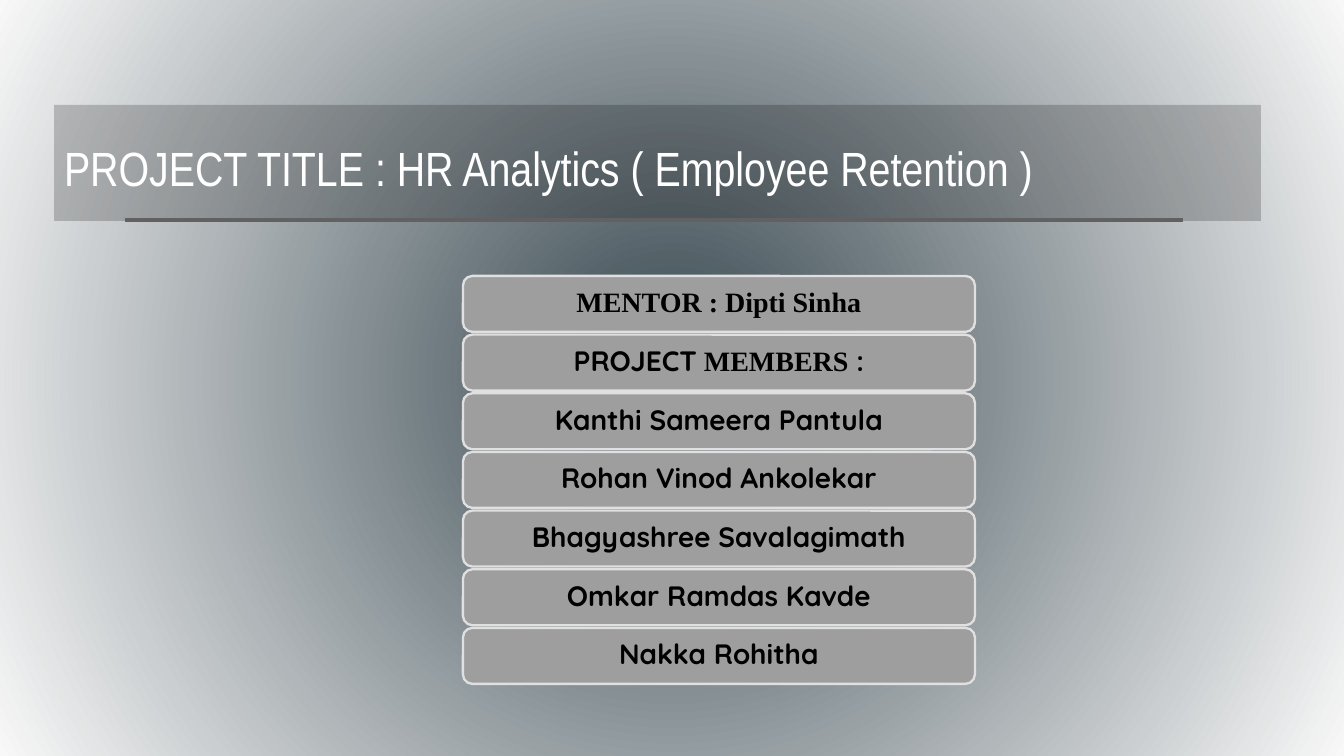
import pptx
import pptx.util
import pptx.dml.color
import pptx.enum.shapes
import pptx.enum.text
import pptx.oxml.ns
from lxml import etree

PX = 914400 / 134.4
qn = pptx.oxml.ns.qn
SHAPES = pptx.enum.shapes.MSO_SHAPE
ANCHOR = pptx.enum.text.MSO_ANCHOR
ALIGN = pptx.enum.text.PP_ALIGN


def px(*lengths):
    return [pptx.util.Emu(round(length * PX)) for length in lengths]


def color(hex_string):
    return pptx.dml.color.RGBColor.from_string(hex_string)


deck = pptx.Presentation()
deck.slide_width, deck.slide_height = px(1344, 756)
slide = deck.slides.add_slide(deck.slide_layouts[5])
shapes = slide.shapes

# Radial backdrop, placed behind the title
backdrop = shapes.add_shape(SHAPES.RECTANGLE, *px(0, 0, 1344, 756))
backdrop.shadow.inherit = False
backdrop.line.fill.background()
backdrop.fill.gradient()
for stop, shade in zip(backdrop.fill.gradient_stops, ("37474F", "F8F8F8")):
    stop.color.rgb = color(shade)
gradient = backdrop._element.spPr.find(qn("a:gradFill"))
gradient.remove(gradient.find(qn("a:lin")))
radial = etree.SubElement(gradient, qn("a:path"))
radial.set("path", "circle")
center = etree.SubElement(radial, qn("a:fillToRect"))
for side in "ltrb":
    center.set(side, "50000")
shapes._spTree.insert(2, backdrop._element)

# Title on a translucent band
title = shapes.title
title.left, title.top, title.width, title.height = px(54, 105, 1207, 116)
title.fill.solid()
title.fill.fore_color.rgb = color("000001")
band_color = title._element.spPr.find(qn("a:solidFill"))[0]
etree.SubElement(band_color, qn("a:alpha")).set("val", "20000")
title_frame = title.text_frame
title_frame.word_wrap = True
title_frame.auto_size = pptx.enum.text.MSO_AUTO_SIZE.NONE
title_frame.vertical_anchor = ANCHOR.TOP
title_frame.margin_left, title_frame.margin_right = px(10, 10)
title_frame.margin_top, title_frame.margin_bottom = px(5, 5)
heading = title_frame.paragraphs[0]
heading.alignment = ALIGN.LEFT
heading.line_spacing = 1.5
heading_run = heading.add_run()
heading_run.text = "PROJECT TITLE : HR Analytics ( Employee Retention )"
heading_run.font.name = "Arial Narrow"
heading_run.font.size = pptx.util.Pt(25.7)
heading_run.font.color.rgb = color("FFFFFF")

# Rule under the title
rule = shapes.add_connector(
    pptx.enum.shapes.MSO_CONNECTOR.STRAIGHT, *px(125, 220, 1183, 220))
rule.line.color.rgb = color("616161")
rule.line.width = pptx.util.Pt(2.5)
etree.SubElement(rule._element.spPr, qn("a:effectLst"))

# Mentor and members, one box each
SERIF, ROUND = "Times New Roman", "Quicksand"
people = [
    [("MENTOR : Dipti Sinha", SERIF)],
    [("PROJECT", ROUND), (" MEMBERS", SERIF), (" :", ROUND)],
    [("Kanthi Sameera Pantula", ROUND)],
    [("Rohan Vinod Ankolekar", ROUND)],
    [("Bhagyashree Savalagimath", ROUND)],
    [("Omkar Ramdas Kavde", ROUND)],
    [("Nakka Rohitha", ROUND)],
]
FIRST_TOP, LAST_TOP = 276, 628
pitch = (LAST_TOP - FIRST_TOP) / (len(people) - 1)
for row, pieces in enumerate(people):
    box = shapes.add_shape(
        SHAPES.ROUNDED_RECTANGLE, *px(463, FIRST_TOP + row * pitch, 512, 56))
    box.adjustments[0] = 0.17
    box.shadow.inherit = False
    box.fill.solid()
    box.fill.fore_color.rgb = color("9E9E9E")
    box.line.color.rgb = color("E0E0E0")
    box.line.width = pptx.util.Pt(1.25)
    frame = box.text_frame
    frame.word_wrap = True
    frame.vertical_anchor = ANCHOR.MIDDLE
    frame.margin_left, frame.margin_right = px(11, 11)
    frame.margin_top, frame.margin_bottom = px(7, 7)
    entry = frame.paragraphs[0]
    entry.alignment = ALIGN.CENTER
    entry.line_spacing = 0.9
    for words, typeface in pieces:
        run = entry.add_run()
        run.text = words
        run.font.name = typeface
        run.font.size = pptx.util.Pt(15)
        run.font.bold = True
        run.font.color.rgb = color("000000")

deck.save("out.pptx")
